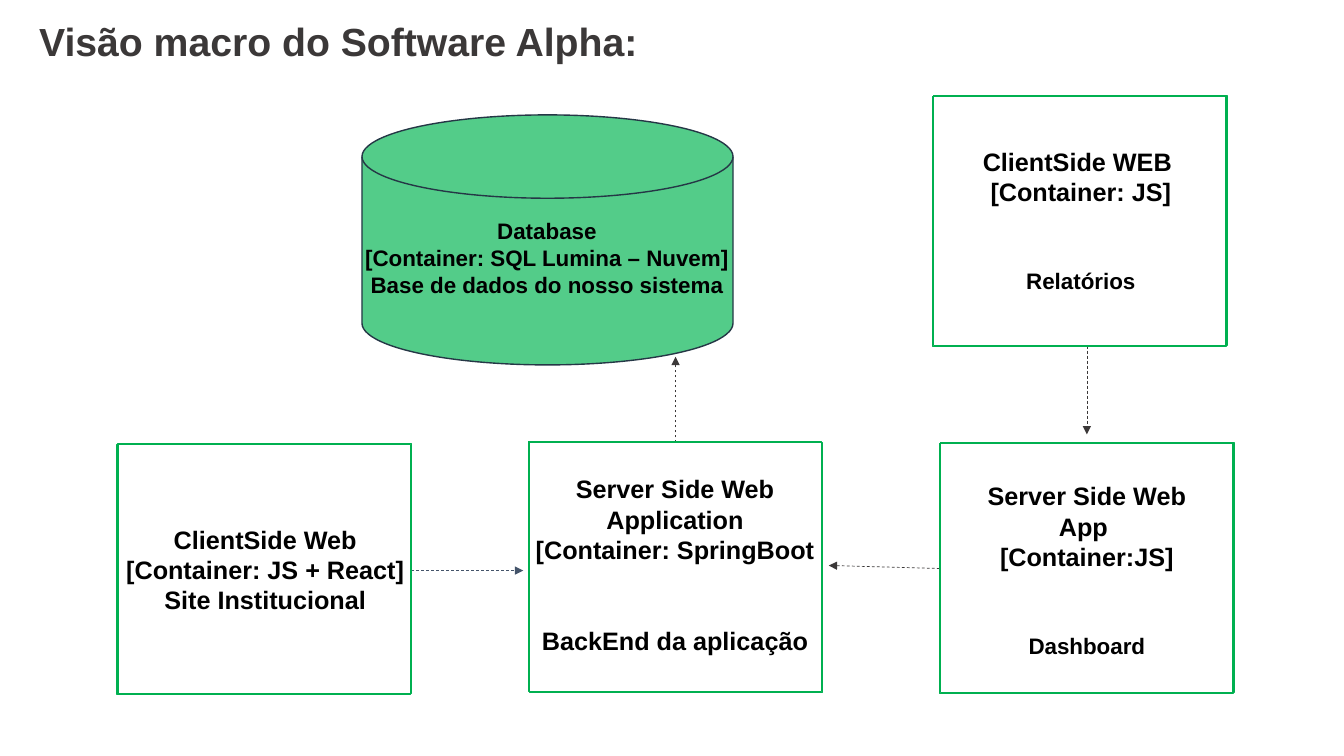
"""Build the macro view slide of the Alpha software containers."""
from typing import NamedTuple

from lxml import etree
from pptx import Presentation
from pptx.dml.color import RGBColor
from pptx.enum.dml import MSO_LINE
from pptx.enum.shapes import MSO_CONNECTOR, MSO_SHAPE
from pptx.enum.text import MSO_ANCHOR, MSO_AUTO_SIZE, PP_ALIGN
from pptx.oxml.ns import qn
from pptx.util import Inches, Pt

RECTANGLE = MSO_SHAPE.RECTANGLE
DISK = MSO_SHAPE.FLOWCHART_MAGNETIC_DISK
STRAIGHT = MSO_CONNECTOR.STRAIGHT
DASH = MSO_LINE.DASH
CENTER = PP_ALIGN.CENTER

BLACK, CHARCOAL, SLATE = "000000", "3B3838", "44546A"
GREEN, MINT, NAVY = "00B050", "53CC89", "253746"
BOX_WIDTH, BOX_HEIGHT = 2.91, 2.48
DISK_WIDTH = 3.68
ROLE_GAP = 43.5
FRAME_FORMAT = {
    "word_wrap": True,
    "auto_size": MSO_AUTO_SIZE.SHAPE_TO_FIT_TEXT,
    "vertical_anchor": MSO_ANCHOR.TOP,
}


class Line(NamedTuple):
    """One paragraph of a label."""
    text: str
    size: float = 18
    gap: float = 0


class Label(NamedTuple):
    """A centred bold text block."""
    left: float
    top: float
    width: float
    height: float
    lines: tuple[Line, ...]
    color: str = BLACK


class Container(NamedTuple):
    """A doubled green frame and its label."""
    corners: tuple[tuple[float, float], ...]
    label: Label


class Flow(NamedTuple):
    """A dashed arrow between two containers."""
    start: tuple[float, float]
    end: tuple[float, float]
    color: str = CHARCOAL


TITLE = Label(0.18, 0.12, 6.35, 0.57, (Line("Visão macro do Software Alpha:", 28),), CHARCOAL)
DATABASE = Label(3.51, 2.11, 3.83, 0.94, (
    Line("Database", 16),
    Line("[Container: SQL Lumina – Nuvem]", 16),
    Line("Base de dados do nosso sistema", 16),
))
CONTAINERS = (
    Container(((9.26, 0.95), (9.25, 0.96)), Label(9.57, 1.4, 2.3, 1.58, (
        Line("ClientSide WEB "),
        Line("[Container: JS]"),
        Line("Relatórios", 16, ROLE_GAP),
    ))),
    Container(((5.25, 4.39), (5.24, 4.38)), Label(5.19, 4.65, 3.01, 1.92, (
        Line("Server Side Web Application"),
        Line("[Container: SpringBoot"),
        Line("BackEnd da aplicação", gap=ROLE_GAP),
    ))),
    Container(((1.17, 4.4), (1.16, 4.41)), Label(1.09, 5.15, 3.08, 1.01, (
        Line("ClientSide Web"),
        Line("[Container: JS + React]"),
        Line("Site Institucional"),
    ))),
    Container(((9.32, 4.4), (9.33, 4.39)), Label(9.48, 4.72, 2.6, 1.88, (
        Line("Server Side Web App "),
        Line("[Container:JS]"),
        Line("Dashboard", 16, ROLE_GAP),
    ))),
)
FLOWS = (
    Flow((6.7, 4.39), (6.7, 3.54)),
    Flow((4.08, 5.66), (5.19, 5.66), SLATE),
    Flow((9.32, 5.64), (8.22, 5.61)),
    Flow((10.78, 3.43), (10.78, 4.31)),
)


def rgb(value: str) -> RGBColor:
    """Turn a hex string into a colour."""
    return RGBColor.from_string(value)


def apply(target, values: dict) -> None:
    """Set every attribute named in values on target."""
    for name, value in values.items():
        setattr(target, name, value)


def draw_outline(slide, preset, left: float, top: float, width: float,
                 line_color: str, fill: str | None = None) -> None:
    """Draw one container outline, filled if a fill is given."""
    outline = slide.shapes.add_shape(
        preset, Inches(left), Inches(top), Inches(width), Inches(BOX_HEIGHT))
    outline.shadow.inherit = False
    outline.line.color.rgb = rgb(line_color)
    outline.line.width = Pt(1)
    if fill:
        outline.fill.solid()
        outline.fill.fore_color.rgb = rgb(fill)
    else:
        outline.fill.background()


def draw_label(slide, label: Label) -> None:
    """Draw one text block."""
    frame = slide.shapes.add_textbox(*(Inches(length) for length in label[:4])).text_frame
    apply(frame, FRAME_FORMAT)
    for index, line in enumerate(label.lines):
        paragraph = frame.add_paragraph() if index else frame.paragraphs[0]
        apply(paragraph, {"alignment": CENTER, "space_before": Pt(line.gap)})
        run = paragraph.add_run()
        run.text = line.text
        apply(run.font, {"name": "Arial", "size": Pt(line.size), "bold": True})
        run.font.color.rgb = rgb(label.color)


def draw_flow(slide, flow: Flow) -> None:
    """Draw one dashed arrow."""
    arrow = slide.shapes.add_connector(
        STRAIGHT, *(Inches(length) for length in flow.start + flow.end))
    arrow.line.color.rgb = rgb(flow.color)
    apply(arrow.line, {"width": Pt(0.5), "dash_style": DASH})
    etree.SubElement(arrow.line._get_or_add_ln(), qn("a:tailEnd"), type="triangle")
    etree.SubElement(arrow._element.spPr, qn("a:effectLst"))


def main() -> None:
    """Build and save the slide."""
    deck = Presentation()
    apply(deck, {"slide_width": Inches(13.33), "slide_height": Inches(7.5)})
    slide = deck.slides.add_slide(deck.slide_layouts[6])
    draw_outline(slide, DISK, 3.59, 1.14, DISK_WIDTH, NAVY, MINT)
    for flow in FLOWS:
        draw_flow(slide, flow)
    for container in CONTAINERS:
        for left, top in container.corners:
            draw_outline(slide, RECTANGLE, left, top, BOX_WIDTH, GREEN)
    for label in (TITLE, DATABASE, *(container.label for container in CONTAINERS)):
        draw_label(slide, label)
    deck.save("out.pptx")


main()
